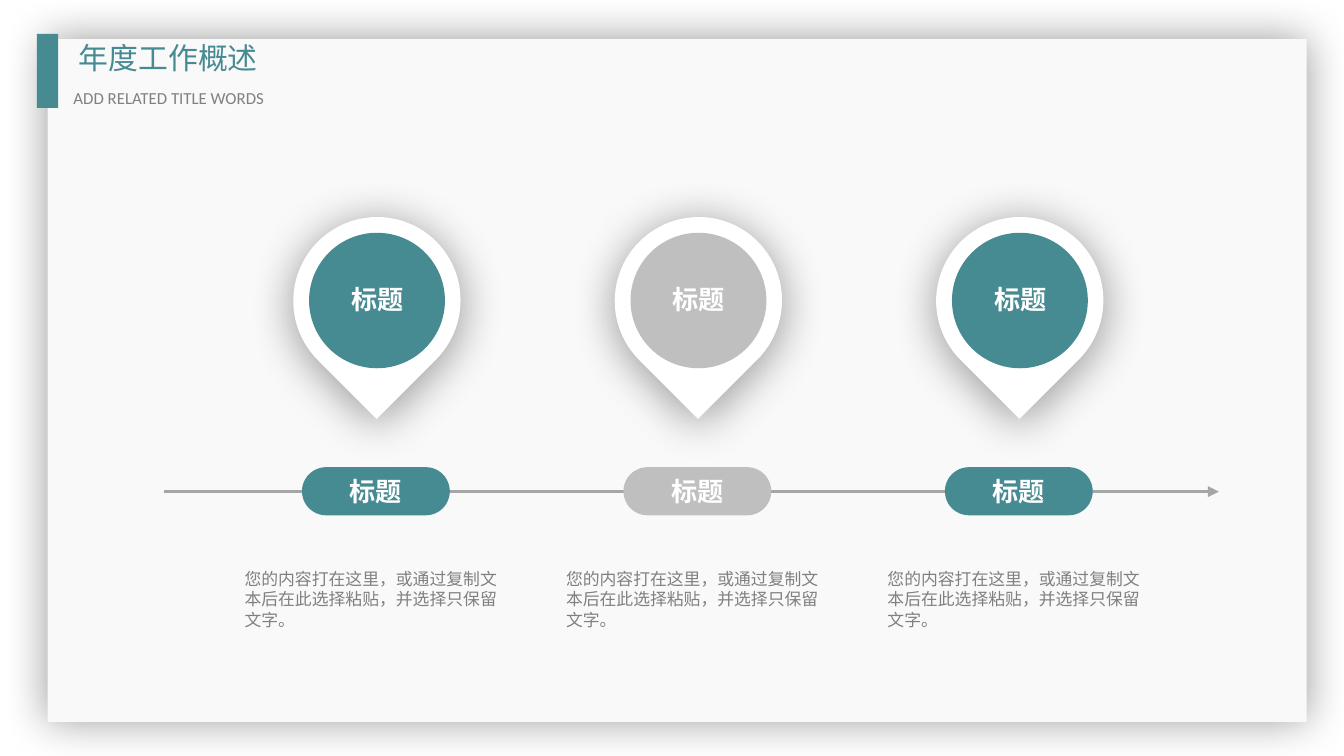
import pptx
import pptx.util
import pptx.dml.color
import pptx.enum.shapes
import pptx.enum.text
import pptx.oxml
import pptx.oxml.ns

Pt = pptx.util.Pt
RGBColor = pptx.dml.color.RGBColor
MSO_SHAPE = pptx.enum.shapes.MSO_SHAPE
PP_ALIGN = pptx.enum.text.PP_ALIGN
MSO_ANCHOR = pptx.enum.text.MSO_ANCHOR

TEAL = RGBColor(0x46, 0x8A, 0x92)
SILVER = RGBColor(0xBF, 0xBF, 0xBF)
PANEL = RGBColor(0xF9, 0xF9, 0xF9)
WHITE = RGBColor(0xFF, 0xFF, 0xFF)
TEXT_GREY = RGBColor(0x80, 0x80, 0x80)
LINE_GREY = RGBColor(0xA6, 0xA6, 0xA6)

CJK = "Noto Sans CJK SC"
NS = pptx.oxml.ns.nsdecls("a")
LABEL = {"size": Pt(14), "bold": True, "name": CJK}
LABEL_COLOR = WHITE
BODY = {"size": Pt(9), "name": CJK}
BODY_TEXT = "您的内容打在这里，或通过复制文本后在此选择粘贴，并选择只保留文字。"


def add_filled(kind, left, top, width, height, color, shadow=None):
    """Add a borderless shape; shadow is (blur, distance) in points, cast downwards."""
    shape = slide.shapes.add_shape(kind, Pt(left), Pt(top), Pt(width), Pt(height))
    shape.fill.solid()
    shape.fill.fore_color.rgb = color
    shape.line.fill.background()
    shape.shadow.inherit = False
    if shadow:
        blur, distance = shadow
        effects = shape._element.spPr.find(pptx.oxml.ns.qn("a:effectLst"))
        effects.append(pptx.oxml.parse_xml(
            f'<a:outerShdw {NS} blurRad="{Pt(blur)}" dist="{Pt(distance)}" dir="5400000" '
            'algn="ctr" rotWithShape="0"><a:srgbClr val="000000"><a:alpha val="40000"/>'
            '</a:srgbClr></a:outerShdw>'))
    return shape


def write(holder, text, font_format, color, align, anchor=MSO_ANCHOR.TOP, side=5.04):
    frame = holder.text_frame
    frame_format = {"word_wrap": True, "vertical_anchor": anchor,
                    "margin_left": Pt(side), "margin_right": Pt(side),
                    "margin_top": Pt(2.7), "margin_bottom": Pt(2.7)}
    for key, value in frame_format.items():
        setattr(frame, key, value)
    paragraph = frame.paragraphs[0]
    paragraph.alignment = align
    paragraph.line_spacing = Pt(round(font_format["size"].pt * 1.22, 1))
    run = paragraph.add_run()
    run.text = text
    for key, value in font_format.items():
        setattr(run.font, key, value)
    run.font.color.rgb = color
    run._r.get_or_add_rPr().append(
        pptx.oxml.parse_xml(f'<a:ea {NS} typeface="{font_format["name"]}"/>'))


deck = pptx.Presentation()
deck.slide_width, deck.slide_height = Pt(720), Pt(405)
slide = deck.slides.add_slide(deck.slide_layouts[6])

# Panel and heading
add_filled(MSO_SHAPE.RECTANGLE, 25.5, 21, 674.6, 365.8, PANEL, shadow=(23, 0))
add_filled(MSO_SHAPE.RECTANGLE, 19.8, 18.2, 11.3, 39.6, TEAL)
headings = [
    ("年度工作概述", (36.7, 18, 144.7, 25.2), {"size": Pt(16), "name": CJK}, TEAL),
    ("ADD RELATED TITLE WORDS", (33.8, 43.9, 160.6, 16.6),
     {"size": Pt(9), "name": "Calibri"}, TEXT_GREY),
]
for text, box, font_format, color in headings:
    heading = slide.shapes.add_textbox(*map(Pt, box))
    write(heading, text, font_format, color, PP_ALIGN.JUSTIFY, side=5.6)

# Timeline arrow
timeline = slide.shapes.add_connector(
    pptx.enum.shapes.MSO_CONNECTOR.STRAIGHT, Pt(87.8), Pt(263.4), Pt(653), Pt(263.4))
timeline.line.color.rgb = LINE_GREY
timeline.line.width = Pt(1.5)
timeline.line._get_or_add_ln().append(
    pptx.oxml.parse_xml(f'<a:tailEnd {NS} type="triangle"/>'))
timeline._element.spPr.append(pptx.oxml.parse_xml(f'<a:effectLst {NS}/>'))

# Three milestones: pin, pill on the timeline, description
FIRST_LEFT, PITCH = 126, 172.2
for index, color in enumerate([TEAL, SILVER, TEAL]):
    left = FIRST_LEFT + index * PITCH

    pin = add_filled(MSO_SHAPE.TEAR, left + 31, 116.4, 89.8, 89.4, WHITE, shadow=(25, 3))
    pin.rotation = 135
    add_filled(MSO_SHAPE.OVAL, left + 39.6, 124.7, 72.8, 72.6, color)
    pin_label = slide.shapes.add_textbox(Pt(left + 52.5), Pt(149), Pt(47.5), Pt(22.3))
    write(pin_label, "标题", LABEL, LABEL_COLOR, PP_ALIGN.CENTER)

    pill = add_filled(MSO_SHAPE.ROUNDED_RECTANGLE, left + 35.8, 250.3, 79.2, 25.8, color)
    pill.adjustments[0] = 0.5
    write(pill, "标题", LABEL, LABEL_COLOR, PP_ALIGN.CENTER, MSO_ANCHOR.MIDDLE)

    description = slide.shapes.add_textbox(Pt(left), Pt(301.7), Pt(151.2), Pt(38.2))
    write(description, BODY_TEXT, BODY, TEXT_GREY, PP_ALIGN.LEFT)

deck.save("out.pptx")
